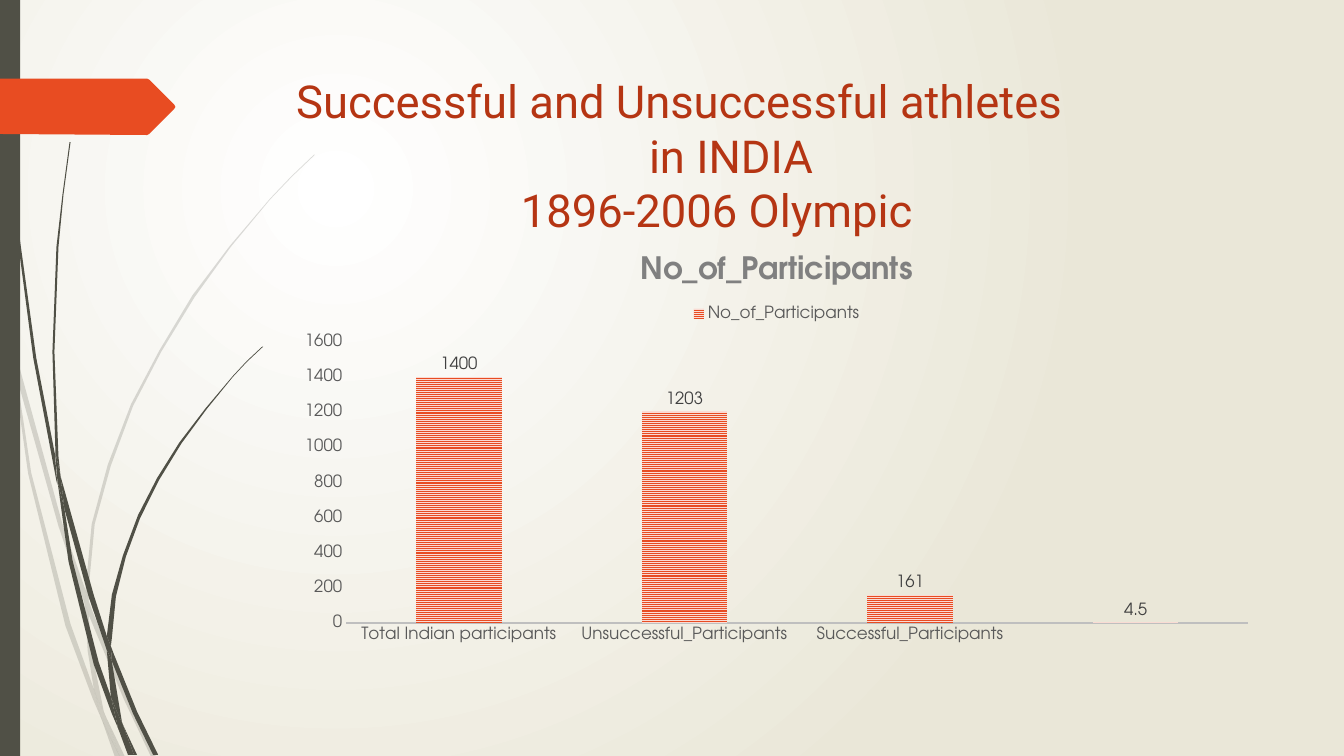
from lxml import etree
from pptx import Presentation, chart as charts, util as u
from pptx.chart import data
from pptx.dml import color
from pptx.enum import chart as kinds, dml, shapes, text
from pptx.oxml import ns, parse_xml

WIDTH, HEIGHT = u.Inches(13.333), u.Inches(7.5)
GRID = u.Inches(0.01)
STEM = color.RGBColor(0x50, 0x50, 0x46)
ORANGE = color.RGBColor(0xE8, 0x4C, 0x22)
PEACH = color.RGBColor(0xFA, 0xDB, 0xD3)
RUST = color.RGBColor(0xB5, 0x35, 0x13)
BLACK = color.RGBColor(0, 0, 0)
LABEL_GREY = color.RGBColor(0x40, 0x40, 0x40)
AXIS_GREY = color.RGBColor(0x59, 0x59, 0x59)
TITLE_GREY = color.RGBColor(0x80, 0x80, 0x80)
LINE_GREY = color.RGBColor(0xBF, 0xBF, 0xBF)
HEADING_FONT, CHART_FONT = "Roboto", "TeX Gyre Adventor"

PALE_BLADES = [
    "11,350 9,322 0,282 0,299 10,344",
    "58,522 84,599 85,586 62,520 14,345 17,376",
    "92,607 88,596 88,610 123,694 150,751 155,751 127,692",
    "119,751 124,751 105,711",
    "93,683 70,619 31,469 17,376 11,350 28,470 65,621 92,693 101,714 99,707",
    "84,599 87,646 93,683 96,692 105,711 103,706 91,646 88,610 88,608",
    "88,584 94,520 110,462 132,403 160,349 193,295 229,245 268,198 290,175 312,154 "
    "312,153 289,175 268,197 228,244 191,293 158,348 130,401 107,461 91,520 85,584 "
    "85,586 88,596",
    "101,714 114,751 119,751",
    "88,608 88,610 88,596 85,586 84,599",
    "96,692 93,683 99,707 101,714 119,751 105,711",
]
DARK_BLADES = [
    "7,110 17,233 33,355 56,477 57,481 55,457 55,453 36,355 19,232 8,109 5,48 4,0 "
    "3,0 4,48",
    "88,592 106,645 106,633 106,631 93,590 60,472 64,505",
    "113,649 110,641 111,656 132,708 152,749 157,749 136,706",
    "110,691 98,657 72,556 64,505 57,477 68,557 93,659 111,708 117,722 116,717",
    "60,472 58,453 54,349 58,245 63,193 70,141 69,141 62,193 56,245 52,349 55,449",
    "133,749 136,749 122,719",
    "57,477 64,505 60,472 55,449 55,453",
    "111,633 115,592 125,552 139,514 158,476 180,440 205,406 231,374 245,359 261,344 "
    "260,344 245,358 231,373 204,405 178,439 156,474 137,511 122,551 111,590 106,631 "
    "110,641",
    "117,722 127,749 131,749",
    "106,645 110,691 116,706 122,719 121,716 111,656 109,651",
    "106,645 109,651 111,656 110,641 106,631 106,633",
    "116,706 110,691 116,717 117,722 130,749 133,749 122,719",
]
TAG = "0,78 146,78 148,79 173,104 174,106 173,108 148,133 146,134 0,133"
HEADING = [("Successful and Unsuccessful athletes", 0), ("in INDIA", 350),
           ("1896-2006 Olympic", 223)]
PARTICIPANTS = {"Total Indian participants": 1400, "Unsuccessful_Participants": 1203,
                "Successful_Participants": 161, "": 4.5}


def paint_background(slide):
    """Fill the slide with a round white-to-beige gradient."""
    background = parse_xml(
        f'<p:bg {ns.nsdecls("p", "a")}><p:bgPr><a:gradFill rotWithShape="1"><a:gsLst>'
        '<a:gs pos="0"><a:srgbClr val="FFFFFF"/></a:gs>'
        '<a:gs pos="100000"><a:srgbClr val="EAE7D8"/></a:gs></a:gsLst>'
        '<a:path path="circle"><a:fillToRect l="50000" t="50000" r="100000" b="100000"/>'
        '</a:path></a:gradFill><a:effectLst/></p:bgPr></p:bg>')
    slide.element.find(ns.qn("p:cSld")).insert(0, background)


def paint(shape, colour, opacity=100):
    """Give a shape a plain fill without line or shadow."""
    shape.shadow.inherit = False
    shape.line.fill.background()
    shape.fill.solid()
    shape.fill.fore_color.rgb = colour
    if opacity < 100:
        tint = shape.element.find(".//" + ns.qn("a:srgbClr"))
        etree.SubElement(tint, ns.qn("a:alpha"), val=str(opacity * 1000))


def draw_outline(slide, outline, colour, opacity=100):
    """Draw a closed outline given in grid units."""
    points = [tuple(map(int, pair.split(","))) for pair in outline.split()]
    builder = slide.shapes.build_freeform(*points[0], scale=GRID)
    builder.add_line_segments(points[1:], close=True)
    paint(builder.convert_to_shape(), colour, opacity)


def style(font, size, colour, face=CHART_FONT, bold=False):
    """Set the look of a font."""
    font.name, font.size, font.bold = face, u.Pt(size), bold
    font.color.rgb = colour


def add_heading(slide):
    """Write the heading, each line at its own indent."""
    frame = slide.shapes.add_textbox(284 * GRID, 68 * GRID, 975 * GRID, 140 * GRID).text_frame
    frame.word_wrap = True
    frame.vertical_anchor = text.MSO_ANCHOR.TOP
    for row, (words, indent) in enumerate(HEADING):
        line = frame.add_paragraph() if row else frame.paragraphs[0]
        line.alignment = text.PP_ALIGN.LEFT
        line.element.get_or_add_pPr().set("marL", str(indent * GRID)) if hasattr(
            line, "element") else line._p.get_or_add_pPr().set("marL", str(indent * GRID))
        run = line.add_run()
        run.text = words
        style(run.font, 32.4, RUST, HEADING_FONT)


def style_axes(chart):
    """Set scale, lines and fonts of both axes."""
    for axis in (chart.category_axis, chart.value_axis):
        axis.has_major_gridlines = False
        axis.major_tick_mark = axis.minor_tick_mark = kinds.XL_TICK_MARK.NONE
        style(axis.tick_labels.font, 12, AXIS_GREY)
    chart.category_axis.format.line.color.rgb = LINE_GREY
    chart.category_axis.format.line.width = u.Pt(1.5)
    scale = chart.value_axis
    scale.format.line.fill.background()
    scale.minimum_scale, scale.maximum_scale, scale.major_unit = 0, 1600, 200


def style_bars(plot):
    """Set spacing, pattern and labels of the bars."""
    plot.vary_by_categories = False
    plot.gap_width, plot.overlap = 164, -22
    fill = plot.series[0].format.fill
    fill.patterned()
    fill.pattern = dml.MSO_PATTERN.NARROW_HORIZONTAL
    fill.fore_color.rgb, fill.back_color.rgb = ORANGE, PEACH
    plot.has_data_labels = True
    labels = plot.data_labels
    labels.show_value = True
    labels.position = kinds.XL_LABEL_POSITION.OUTSIDE_END
    style(labels.font, 12, LABEL_GREY)


def add_participants(slide):
    """Add the column chart of participants."""
    counts = data.CategoryChartData()
    counts.categories = list(PARTICIPANTS)
    counts.add_series("No_of_Participants", list(PARTICIPANTS.values()))
    chart = slide.shapes.add_chart(kinds.XL_CHART_TYPE.COLUMN_CLUSTERED, 283 * GRID,
                                   233 * GRID, 975 * GRID, 413 * GRID, counts).chart
    style(chart.font, 10, BLACK)
    chart.has_title = True
    run = chart.chart_title.text_frame.paragraphs[0].add_run()
    run.text = "No_of_Participants"
    style(run.font, 22, TITLE_GREY, bold=True)
    chart.has_legend = True
    chart.legend.position = kinds.XL_LEGEND_POSITION.TOP
    chart.legend.include_in_layout = False
    style(chart.legend.font, 12, AXIS_GREY)
    style_axes(chart)
    style_bars(chart.plots[0])


def main():
    """Build the slide and save it."""
    deck = Presentation()
    deck.slide_width, deck.slide_height = WIDTH, HEIGHT
    slide = deck.slides.add_slide(deck.slide_layouts[6])
    paint_background(slide)
    for blade in PALE_BLADES:
        draw_outline(slide, blade, STEM, opacity=20)
    for blade in DARK_BLADES:
        draw_outline(slide, blade, STEM)
    side_bar = slide.shapes.add_shape(shapes.MSO_SHAPE.RECTANGLE, 0, 0, 20 * GRID, HEIGHT)
    paint(side_bar, STEM)
    draw_outline(slide, TAG, ORANGE)
    add_heading(slide)
    add_participants(slide)
    deck.save("out.pptx")


if __name__ == "__main__":
    main()
